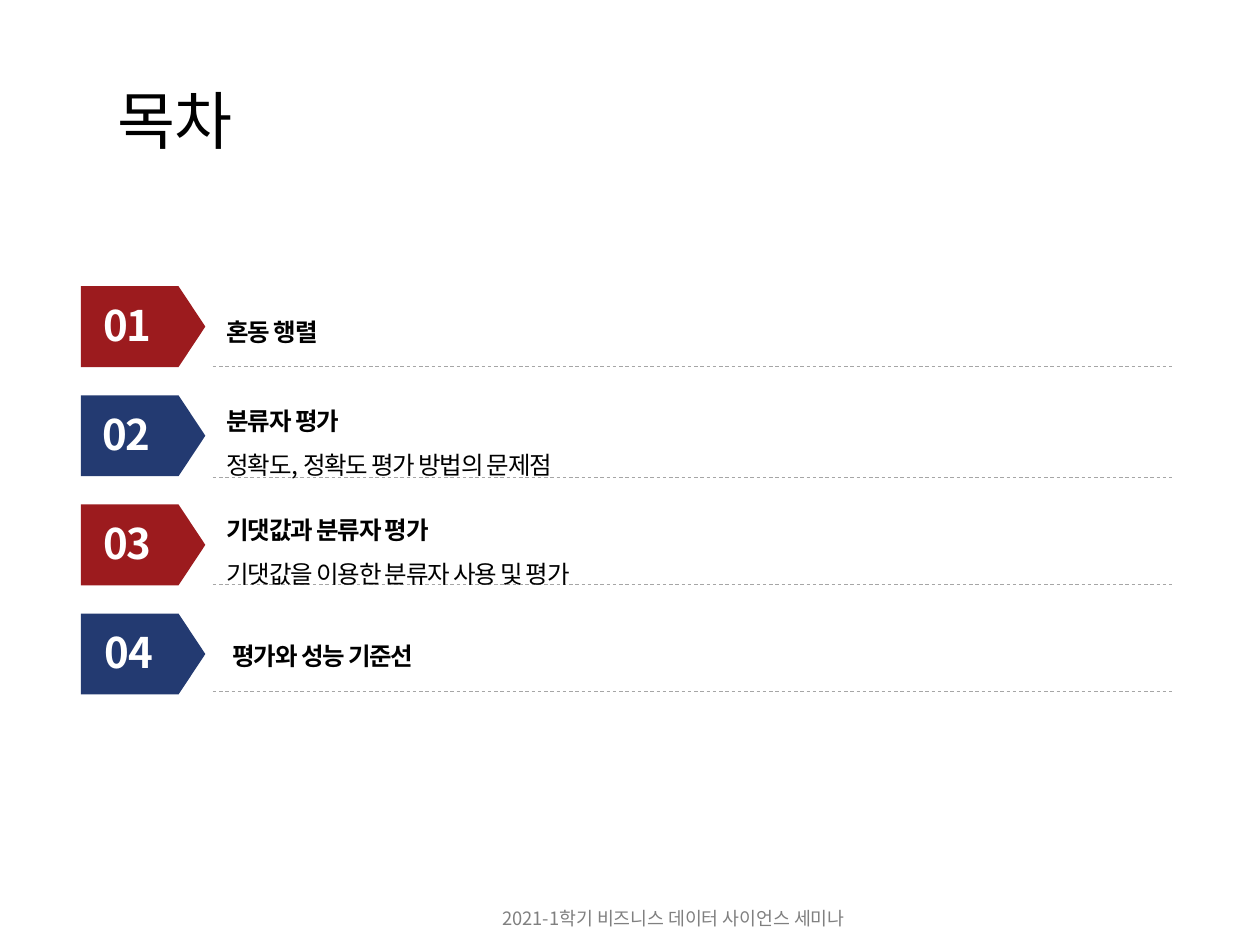
from dataclasses import dataclass

from lxml import etree
from pptx import Presentation
from pptx import util as u
from pptx.dml.color import RGBColor
from pptx.enum import dml, shapes, text
from pptx.oxml import ns


@dataclass(frozen=True)
class Theme:
    font: str = "Noto Sans CJK KR"
    red: str = "9C1B1E"
    blue: str = "233A71"
    white: str = "FFFFFF"
    black: str = "000000"
    grey: str = "808080"
    rule: str = "A6A6A6"
    title_size: float = 36
    number_size: float = 24
    body_size: float = 14
    footer_size: float = 10.5
    tracking: int = -70


@dataclass(frozen=True)
class Entry:
    number_left: float
    number_width: float
    rule_top: float
    caption_left: float
    caption_top: float
    lines: tuple


THEME = Theme()
FIRST_TOP, PITCH = 5.77, 2.2
ENTRIES = (
    Entry(1.75, 1.63, 7.39, 3.82, 5.97, ("혼동 행렬",)),
    Entry(1.68, 1.73, 9.63, 3.82, 7.77,
          ("분류자 평가", "정확도, 정확도 평가 방법의 문제점")),
    Entry(1.68, 1.78, 11.79, 3.82, 9.96,
          ("기댓값과 분류자 평가", "기댓값을 이용한 분류자 사용 및 평가")),
    Entry(1.7, 1.8, 13.94, 3.94, 12.5, ("평가와 성능 기준선",)),
)


def cm(*lengths):
    return [u.Cm(length) for length in lengths]


def write(para, words, size, color=THEME.black, bold=False, tracking=0,
          align=text.PP_ALIGN.LEFT, indent=0, spacing=None):
    para.alignment = align
    para.line_spacing = spacing
    if indent:
        properties = para._p.get_or_add_pPr()
        properties.set("marL", str(u.Cm(indent)))
        properties.set("indent", "0")
    span = para.add_run()
    span.text = words
    font = span.font
    font.size = u.Pt(size)
    font.bold = bold
    font.color.rgb = RGBColor.from_string(color)
    font.name = THEME.font
    markup = span._r.get_or_add_rPr()
    etree.SubElement(markup, ns.qn("a:ea"), typeface=THEME.font)
    if tracking:
        markup.set("spc", str(tracking))


def add_text(page, place, lines, wrap=True, **style):
    box = page.shapes.add_textbox(*cm(*place))
    frame = box.text_frame
    frame.word_wrap = wrap
    frame.auto_size = text.MSO_AUTO_SIZE.SHAPE_TO_FIT_TEXT
    for index, words in enumerate(lines):
        para = frame.add_paragraph() if index else frame.paragraphs[0]
        write(para, words, **{**style, "bold": style.get("bold", False) and index == 0})


def add_block(page, kind, place, color):
    block = page.shapes.add_shape(kind, *cm(*place))
    block.shadow.inherit = False
    block.fill.solid()
    block.fill.fore_color.rgb = RGBColor.from_string(color)
    block.line.fill.background()
    return block


def add_badge(page, entry, number, top, color):
    arrow = add_block(page, shapes.MSO_SHAPE.PENTAGON, (1.63, top, 2.51, 1.63), color)
    arrow.adjustments[0] = 0.331
    label = add_block(page, shapes.MSO_SHAPE.RECTANGLE,
                      (entry.number_left, top + 0.14, entry.number_width, 1.27), color)
    frame = label.text_frame
    frame.word_wrap = True
    frame.auto_size = text.MSO_AUTO_SIZE.SHAPE_TO_FIT_TEXT
    frame.vertical_anchor = text.MSO_ANCHOR.TOP
    write(frame.paragraphs[0], f"{number:02d}", THEME.number_size, THEME.white,
          bold=True, tracking=THEME.tracking, align=text.PP_ALIGN.CENTER)


def add_rule(page, top):
    rule = page.shapes.add_connector(shapes.MSO_CONNECTOR.STRAIGHT,
                                     *cm(4.29, top, 23.62, top))
    rule.line.color.rgb = RGBColor.from_string(THEME.rule)
    rule.line.width = u.Pt(0.5)
    rule.line.dash_style = dml.MSO_LINE.DASH
    etree.SubElement(rule._element.spPr, ns.qn("a:effectLst"))


def main():
    deck = Presentation()
    deck.slide_width, deck.slide_height = cm(25.4, 19.05)
    page = deck.slides.add_slide(deck.slide_layouts[6])

    add_text(page, (2.11, 1.52, 2.92, 1.8), ["목차"], wrap=False, size=THEME.title_size)
    for index, entry in enumerate(ENTRIES):
        color = THEME.blue if index % 2 else THEME.red
        add_badge(page, entry, index + 1, FIRST_TOP + index * PITCH, color)
    for entry in ENTRIES:
        add_rule(page, entry.rule_top)
    for entry in ENTRIES:
        add_text(page, (entry.caption_left, entry.caption_top, 19.43, 1.03 * len(entry.lines)),
                 entry.lines, size=THEME.body_size, bold=True,
                 tracking=THEME.tracking, indent=0.5, spacing=1.5)
    add_text(page, (9.88, 18.16, 8.38, 0.71), ["2021-1학기 비즈니스 데이터 사이언스 세미나"],
             wrap=False, size=THEME.footer_size, color=THEME.grey)

    deck.save("out.pptx")


if __name__ == "__main__":
    main()
